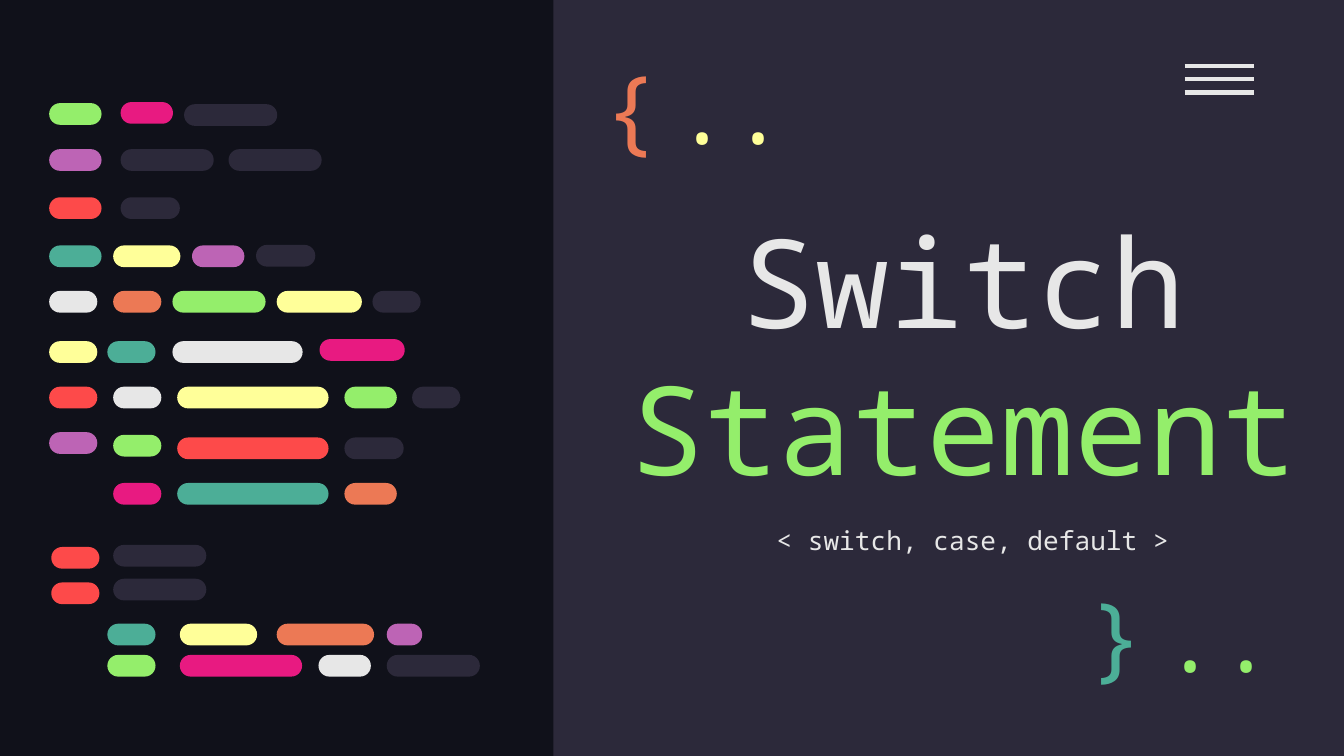
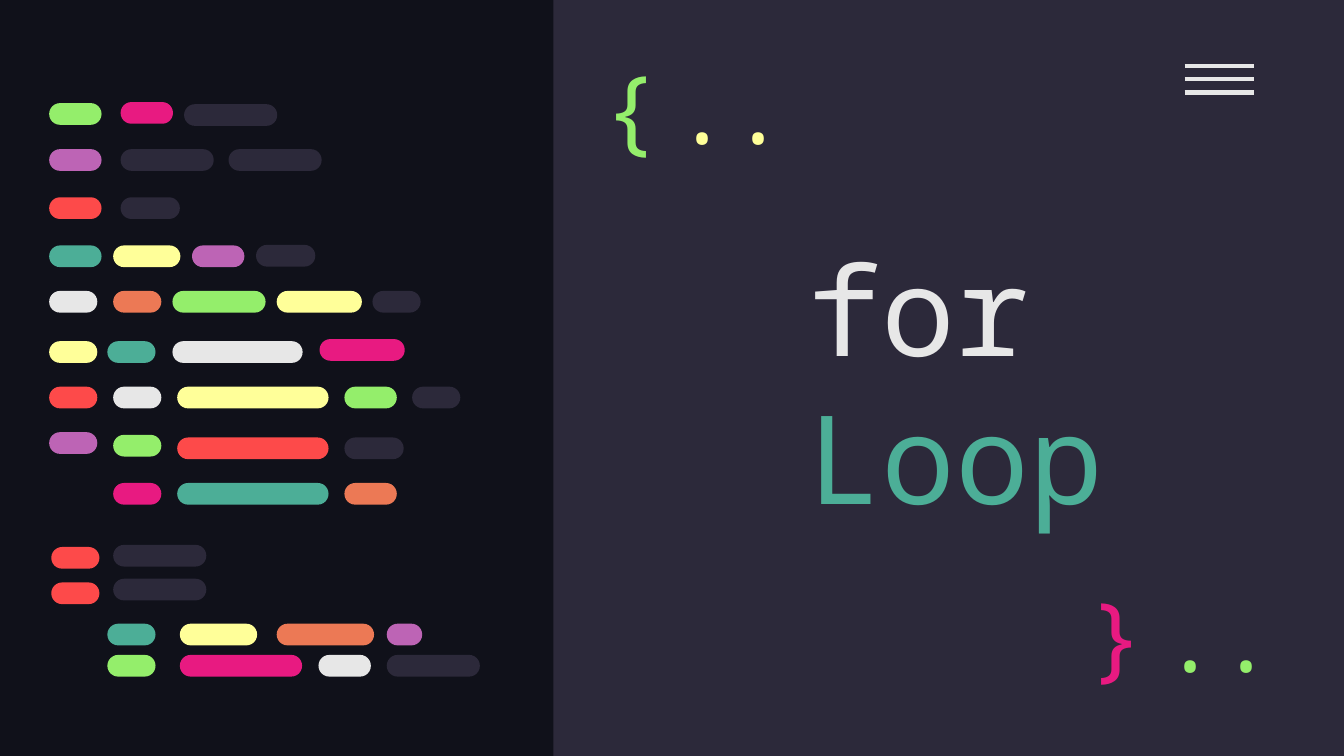
from lxml import etree
from pptx import Presentation
from pptx.dml.color import RGBColor
from pptx.enum.shapes import MSO_CONNECTOR, MSO_SHAPE
from pptx.enum.text import MSO_ANCHOR, MSO_AUTO_SIZE, PP_ALIGN
from pptx.oxml.ns import qn
from pptx.util import Cm, Pt

RECT = MSO_SHAPE.RECTANGLE
PILL = MSO_SHAPE.ROUNDED_RECTANGLE
STRAIGHT = MSO_CONNECTOR.STRAIGHT
LEFT, CENTER, RIGHT = PP_ALIGN.LEFT, PP_ALIGN.CENTER, PP_ALIGN.RIGHT
TOP, MIDDLE = MSO_ANCHOR.TOP, MSO_ANCHOR.MIDDLE
FIT_SHAPE = MSO_AUTO_SIZE.SHAPE_TO_FIT_TEXT

FONT = "Noto Sans Mono"
COLORS = {
    "night": "10111A",
    "slate": "2C293A",
    "white": "E7E7E7",
    "green": "94EE6B",
    "pink": "E81A81",
    "purple": "BD64B5",
    "red": "FD4A4A",
    "teal": "4CAE97",
    "yellow": "FFFF99",
    "orange": "EC7955",
}

SLIDE_W, SLIDE_H = 25.4, 14.29
PANEL_LEFT = 10.46
PILL_H = 0.41
INSET = 0.25

# Lines of the code sketch in cm: top, then (left, width, color, drop below top)
CODE_LINES = [
    (1.95, [(0.93, 0.99, "green"), (2.28, 0.99, "pink", -0.02),
            (3.48, 1.76, "slate", 0.02)]),
    (2.82, [(0.93, 0.99, "purple"), (2.28, 1.76, "slate"), (4.32, 1.76, "slate")]),
    (3.73, [(0.93, 0.99, "red"), (2.28, 1.12, "slate")]),
    (4.64, [(0.93, 0.99, "teal"), (2.14, 1.27, "yellow"), (3.63, 0.99, "purple"),
            (4.84, 1.12, "slate", -0.01)]),
    (5.5, [(0.93, 0.91, "white"), (2.14, 0.91, "orange"), (3.26, 1.76, "green"),
           (5.23, 1.61, "yellow"), (7.04, 0.91, "slate")]),
    (6.45, [(0.93, 0.91, "yellow"), (2.03, 0.91, "teal"), (3.26, 2.46, "white"),
            (6.04, 1.61, "pink", -0.04)]),
    (7.31, [(0.93, 0.91, "red"), (2.14, 0.91, "white"), (3.35, 2.86, "yellow"),
            (6.51, 0.99, "green"), (7.79, 0.91, "slate")]),
    (8.17, [(0.93, 0.91, "purple"), (2.14, 0.91, "green", 0.05),
            (3.35, 2.86, "red", 0.1), (6.51, 1.12, "slate", 0.1)]),
    (9.13, [(2.14, 0.91, "pink"), (3.35, 2.86, "teal"), (6.51, 0.99, "orange")]),
    (10.3, [(0.97, 0.91, "red", 0.04), (2.14, 1.76, "slate")]),
    (10.94, [(0.97, 0.91, "red", 0.07), (2.14, 1.76, "slate")]),
    (11.79, [(2.03, 0.91, "teal"), (3.4, 1.46, "yellow"), (5.23, 1.84, "orange"),
             (7.31, 0.67, "purple")]),
    (12.38, [(2.03, 0.91, "green"), (3.4, 2.31, "pink"), (6.02, 0.99, "white"),
             (7.31, 1.76, "slate")]),
]


def rgb(color):
    return RGBColor.from_string(COLORS[color])


def add_block(shapes, kind, left, top, width, height, color):
    block = shapes.add_shape(kind, Cm(left), Cm(top), Cm(width), Cm(height))
    block.shadow.inherit = False
    block.fill.solid()
    block.fill.fore_color.rgb = rgb(color)
    block.line.fill.background()
    return block


def add_text(slide, box, runs, size, align=LEFT, anchor=TOP, inset_y=INSET):
    """Write (text, color) runs in one paragraph; None breaks the line."""
    frame = slide.shapes.add_textbox(*map(Cm, box)).text_frame
    frame.word_wrap = True
    frame.vertical_anchor = anchor
    frame.margin_left = frame.margin_right = Cm(INSET)
    frame.margin_top = frame.margin_bottom = Cm(inset_y)
    paragraph = frame.paragraphs[0]
    paragraph.alignment = align
    for part in runs:
        if part is None:
            paragraph.add_line_break()
            continue
        text, color = part
        run = paragraph.add_run()
        run.text = text
        run.font.name = FONT
        run.font.size = Pt(size)
        run.font.color.rgb = rgb(color)
    return frame


def add_menu_icon(slide):
    menu = slide.shapes.add_group_shape()
    for bar in range(3):
        y = Cm(1.24 + bar * 0.255)
        line = menu.shapes.add_connector(STRAIGHT, Cm(22.39), y, Cm(23.7), y)
        line.line.color.rgb = rgb("white")
        line.line.width = Pt(2.25)
        etree.SubElement(line._element.spPr, qn("a:effectLst"))


def add_code_sketch(slide):
    sketch = slide.shapes.add_group_shape()
    for top, pills in CODE_LINES:
        for left, width, color, *drop in pills:
            pill = add_block(sketch.shapes, PILL, left, top + sum(drop),
                             width, PILL_H, color)
            pill.adjustments[0] = 0.5


def add_braces(slide, opening, closing):
    add_text(slide, (11.15, 0.69, 1.96, 2.41), [("{", opening)], 50)
    add_text(slide, (20.32, 10.67, 1.45, 2.11), [("}", closing)], 50)
    for left, top, color in [(21.62, 11.25, "green"), (12.4, 1.27, "yellow")]:
        add_text(slide, (left, top, 2.72, 1.52), [("..", color)], 50, RIGHT, MIDDLE)


def add_section_slide(prs, title, title_left, title_top, opening, closing):
    slide = prs.slides.add_slide(prs.slide_layouts[6])
    add_block(slide.shapes, RECT, PANEL_LEFT, 0, SLIDE_W - PANEL_LEFT, SLIDE_H, "slate")
    add_menu_icon(slide)
    add_text(slide, (title_left, title_top, 14.38, 7.04), title, 66, CENTER, MIDDLE)
    add_code_sketch(slide)
    add_braces(slide, opening, closing)
    return slide


def main():
    prs = Presentation()
    prs.slide_width, prs.slide_height = Cm(SLIDE_W), Cm(SLIDE_H)
    backdrop = prs.slide_master.background.fill
    backdrop.solid()
    backdrop.fore_color.rgb = rgb("night")

    # Switch statement
    switch = add_section_slide(
        prs, [("Switch ", "white"), ("Statement", "green")], 11.02, 3.15,
        "orange", "teal")
    keywords = add_text(switch, (11.38, 9.7, 14.02, 0.91),
                        [("< switch, case, default >", "white")], 14, CENTER,
                        inset_y=0.13)
    keywords.auto_size = FIT_SHAPE
    keywords.paragraphs[0].line_spacing = 1.15

    # For loop
    add_section_slide(
        prs, [("for ", "white"), None, ("Loop", "teal")], 10.87, 3.68,
        "green", "pink")

    prs.save("out.pptx")


if __name__ == "__main__":
    main()
